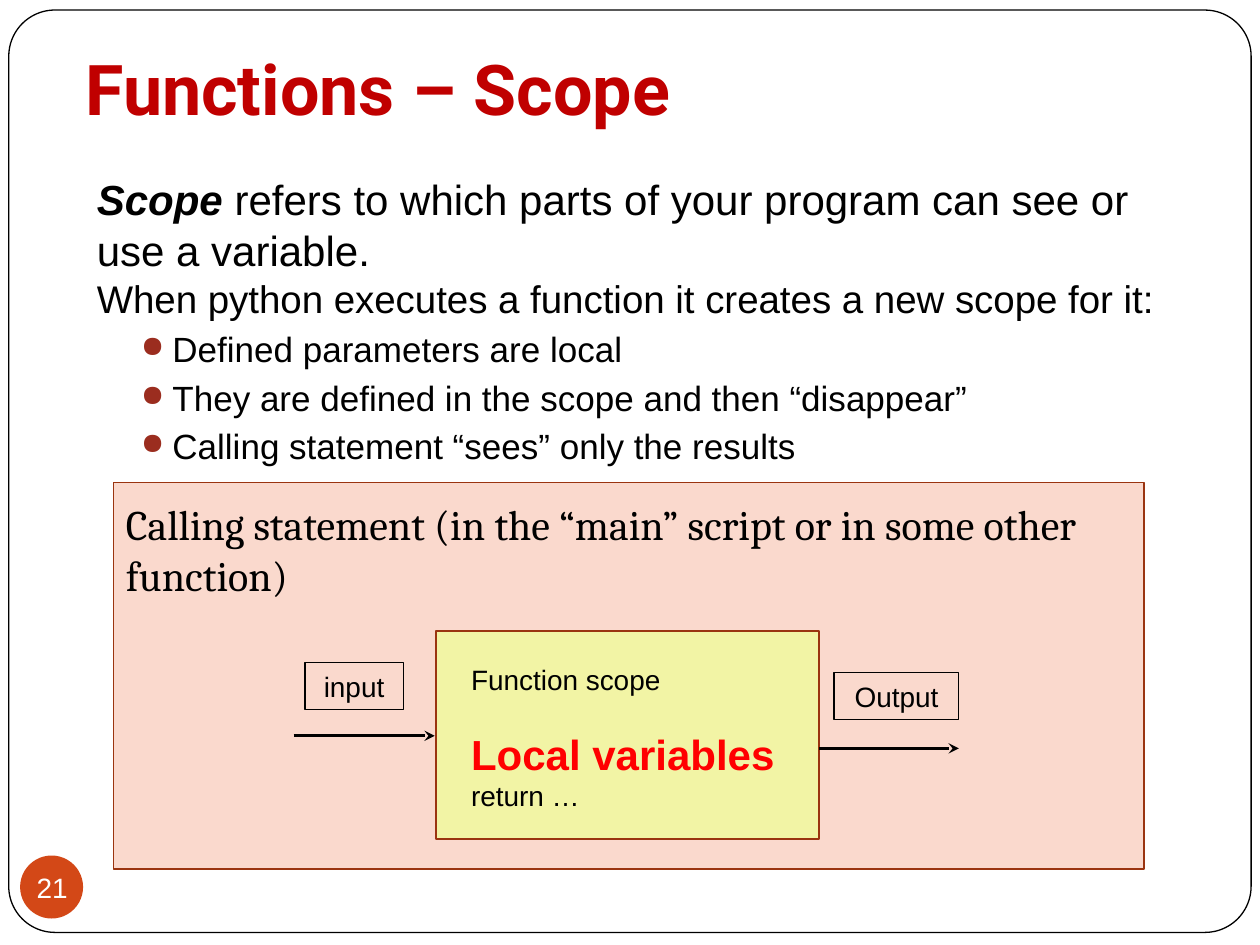
from lxml.etree import SubElement
from pptx import Presentation
from pptx.dml.color import RGBColor
from pptx.enum.shapes import MSO_CONNECTOR, MSO_SHAPE
from pptx.enum.text import MSO_ANCHOR, PP_ALIGN
from pptx.oxml.ns import qn
from pptx.util import Inches, Pt

COLORS = {
    "white": "FFFFFF",
    "black": "000000",
    "title": "C00000",
    "badge": "D34817",
    "caller": "FAD9CD",
    "function": "F2F4A5",
    "border": "9A3410",
    "bullet": "9B2D1F",
    "highlight": "FF0000",
}


def color(name):
    """Return the named colour."""
    return RGBColor.from_string(COLORS[name])


def place(shape, box):
    """Move and size a shape to left, top, width and height in inches."""
    shape.left, shape.top, shape.width, shape.height = map(Inches, box)


def format_run(run, size, font="Arial", tint="black", bold=False, italic=False):
    """Set the font of one run."""
    run.font.name = font
    run.font.size = Pt(size)
    run.font.bold = bold
    run.font.italic = italic
    run.font.color.rgb = color(tint)


def format_paragraph(paragraph, size, align=PP_ALIGN.LEFT, before=0, **style):
    """Set alignment, spacing and font of a paragraph."""
    paragraph.alignment = align
    paragraph.space_before = Pt(before)
    for run in paragraph.runs:
        format_run(run, size, **style)


def add_box(slide, kind, box, fill=None, line=None, width=1):
    """Add a preset shape with an optional fill and outline."""
    shape = slide.shapes.add_shape(kind, *map(Inches, box))
    shape.shadow.inherit = False
    if fill:
        shape.fill.solid()
        shape.fill.fore_color.rgb = color(fill)
    else:
        shape.fill.background()
    if line:
        shape.line.color.rgb = color(line)
        shape.line.width = Pt(width)
    else:
        shape.line.fill.background()
    return shape


def add_text(slide, box, lines, anchor=MSO_ANCHOR.TOP):
    """Add a wrapped text box from pairs of text and paragraph format."""
    frame = slide.shapes.add_textbox(*map(Inches, box)).text_frame
    frame.word_wrap = True
    frame.vertical_anchor = anchor
    frame.text = "\n".join(text for text, _ in lines)
    for paragraph, (_, style) in zip(frame.paragraphs, lines):
        format_paragraph(paragraph, **style)
    return frame


def add_label(slide, box, text):
    """Add an outlined label with centred text."""
    frame = add_box(slide, MSO_SHAPE.RECTANGLE, box, line="black", width=0.75).text_frame
    frame.text = text
    format_paragraph(frame.paragraphs[0], 16, PP_ALIGN.CENTER)


def add_arrow(slide, left, right, height):
    """Add a horizontal arrow with a stealth head."""
    ends = map(Inches, (left, height, right, height))
    arrow = slide.shapes.add_connector(MSO_CONNECTOR.STRAIGHT, *ends)
    arrow.line.color.rgb = color("black")
    arrow.line.width = Pt(1.5)
    SubElement(arrow.line._get_or_add_ln(), qn("a:tailEnd"), type="stealth")
    SubElement(arrow._element.spPr, qn("a:effectLst"))


def add_bullet(paragraph):
    """Indent a paragraph and give it a round bullet."""
    paragraph.level = 1
    properties = paragraph._p.get_or_add_pPr()
    properties.set("marL", str(Inches(0.6)))
    properties.set("indent", str(Inches(-0.25)))
    tint = SubElement(properties, qn("a:buClr"))
    SubElement(tint, qn("a:srgbClr"), val=COLORS["bullet"])
    SubElement(properties, qn("a:buSzPct"), val="85000")
    SubElement(properties, qn("a:buChar"), char="●")


def add_frame(slide):
    """Add the rounded slide border and the slide number badge."""
    border = add_box(slide, MSO_SHAPE.ROUNDED_RECTANGLE, (0.07, 0.08, 9.86, 7.32),
                     "white", "black", 0.75)
    border.adjustments[0] = 0.05
    add_box(slide, MSO_SHAPE.OVAL, (0.16, 6.79, 0.5, 0.5), "badge")
    number_style = {"size": 16, "align": PP_ALIGN.CENTER, "tint": "white"}
    add_text(slide, (0.08, 6.79, 0.67, 0.5), [("21", number_style)], MSO_ANCHOR.MIDDLE)


def set_title(slide, text):
    """Fill the title placeholder and bring it in front of the frame."""
    title = slide.shapes.title
    place(title, (0.58, 0.25, 8.5, 0.88))
    frame = title.text_frame
    frame.text = text
    frame.vertical_anchor = MSO_ANCHOR.BOTTOM
    frame.margin_bottom = Inches(0.1)
    format_paragraph(frame.paragraphs[0], 40, font="Roboto", tint="title", bold=True)
    slide.shapes._spTree.append(title._element)


def add_explanation(slide):
    """Add the definition of scope and its bullet points."""
    bullets = [
        "Defined parameters are local",
        "They are defined in the scope and then “disappear”",
        "Calling statement “sees” only the results",
    ]
    lines = [
        ("Scope", {"size": 24, "bold": True, "italic": True}),
        ("When python executes a function it creates a new scope for it:", {"size": 22}),
    ]
    lines += [(text, {"size": 20, "before": 3.8}) for text in bullets]
    frame = add_text(slide, (0.67, 1.33, 8.92, 5), lines)
    definition = frame.paragraphs[0].add_run()
    definition.text = " refers to which parts of your program can see or use a variable."
    format_run(definition, 24)
    for paragraph in frame.paragraphs[2:]:
        add_bullet(paragraph)


def add_diagram(slide):
    """Add the function scope with its input and output."""
    add_box(slide, MSO_SHAPE.RECTANGLE, (3.46, 5.01, 3.04, 1.65), "function", "border")
    add_text(slide, (3.64, 5.21, 2.69, 1.37), [
        ("Function scope", {"size": 16}),
        ("Local variables", {"size": 24, "before": 18.4, "tint": "highlight", "bold": True}),
        ("return …", {"size": 16}),
    ])
    add_arrow(slide, 2.33, 3.45, 5.84)
    add_arrow(slide, 6.5, 7.61, 5.94)
    add_label(slide, (2.42, 5.26, 0.78, 0.37), "input")
    add_label(slide, (6.62, 5.34, 0.99, 0.37), "Output")


def main():
    """Build and save the slide."""
    presentation = Presentation()
    presentation.slide_width, presentation.slide_height = Inches(10), Inches(7.5)
    slide = presentation.slides.add_slide(presentation.slide_layouts[5])
    add_frame(slide)
    add_box(slide, MSO_SHAPE.RECTANGLE, (0.9, 3.83, 8.18, 3.07), "caller", "border")
    set_title(slide, "Functions – Scope")
    add_explanation(slide)
    add_diagram(slide)
    add_text(slide, (0.9, 3.91, 8.43, 0.91), [
        ("Calling statement (in the “main” script or in some other function)",
         {"size": 24, "font": "Cambria"}),
    ])
    presentation.save("out.pptx")


if __name__ == "__main__":
    main()
